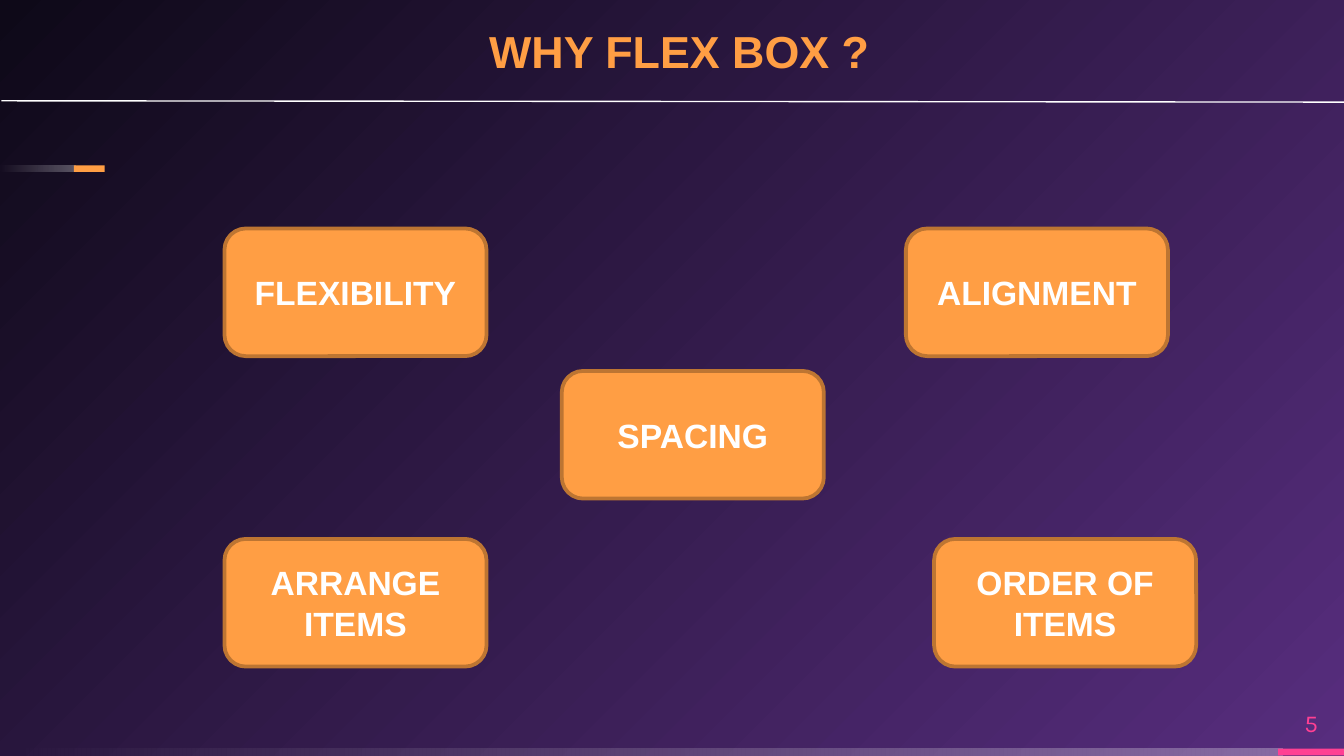
import pptx
import pptx.dml.color
import pptx.enum.shapes
import pptx.enum.text
import pptx.oxml
import pptx.oxml.ns
import pptx.util
from pptx.util import Inches

SHAPES = pptx.enum.shapes.MSO_SHAPE
ALIGN = pptx.enum.text.PP_ALIGN
ANCHOR = pptx.enum.text.MSO_ANCHOR
qn = pptx.oxml.ns.qn

ORANGE, BROWN, PINK, WHITE = "FF9E44", "BD7532", "FF4093", "FFFFFF"
BUTTON_WIDTH, BUTTON_HEIGHT = 1.95, 0.95
BUTTONS = [
    ("FLEXIBILITY", 1.67, 1.7),
    ("SPACING", 4.18, 2.76),
    ("ARRANGE ITEMS", 1.67, 4.01),
    ("ALIGNMENT", 6.74, 1.7),
    ("ORDER OF ITEMS", 6.95, 4.01),
]


def color(value):
    return pptx.dml.color.RGBColor.from_string(value)


def drawing_element(tag, attributes=""):
    namespace = pptx.oxml.ns.nsdecls("a")
    return pptx.oxml.parse_xml(f"<a:{tag} {namespace} {attributes}/>")


def paint_background(slide):
    """Radial gradient spreading from the bottom right corner."""
    fill = slide.background.fill
    fill.gradient()
    for stop, value in zip(fill.gradient_stops, ("572D7E", "0E0918")):
        stop.color.rgb = color(value)
    gradient = slide.element.find(".//" + qn("a:gradFill"))
    gradient.remove(gradient.find(qn("a:lin")))
    radial = drawing_element("path", 'path="circle"')
    radial.append(drawing_element("fillToRect", 'l="100000" t="100000"'))
    gradient.append(radial)


def add_block(slide, kind, left, top, width, height, fill=None):
    block = slide.shapes.add_shape(
        kind, Inches(left), Inches(top), Inches(width), Inches(height))
    block.shadow.inherit = False
    block.line.fill.background()
    if fill:
        block.fill.solid()
        block.fill.fore_color.rgb = color(fill)
    return block


def add_fading_bar(slide, left, top, width, height):
    """White bar that fades out towards the left."""
    bar = add_block(slide, SHAPES.RECTANGLE, left, top, width, height)
    bar.fill.gradient()
    bar.fill.gradient_angle = 180
    for stop in bar.fill.gradient_stops:
        stop.color.rgb = color(WHITE)
    stops = bar.element.spPr.iter(qn("a:srgbClr"))
    for stop_color, opacity in zip(stops, (30, 0)):
        stop_color.append(drawing_element("alpha", f'val="{opacity * 1000}"'))


def write_text(box, text, fill, font, frame_format, para_format):
    frame = box.text_frame
    frame.word_wrap = True
    for name, value in frame_format.items():
        setattr(frame, name, value)
    para = frame.paragraphs[0]
    for name, value in para_format.items():
        setattr(para, name, value)
    span = para.add_run()
    span.text = text
    for name, value in font.items():
        setattr(span.font, name, value)
    span.font.color.rgb = color(fill)


def no_margins(anchor):
    sides = ("left", "top", "right", "bottom")
    return {"vertical_anchor": anchor, **{f"margin_{side}": 0 for side in sides}}


def heading_font(size):
    return {"name": "Arial", "size": pptx.util.Pt(size), "bold": True}


def add_title(slide, text):
    title = slide.shapes.title
    place = {"left": 3.64, "top": 0.15, "width": 3.05, "height": 0.43}
    for name, value in place.items():
        setattr(title, name, Inches(value))
    write_text(title, text, ORANGE, heading_font(24), no_margins(ANCHOR.BOTTOM),
               {"alignment": ALIGN.LEFT, "line_spacing": 0.9})


def add_page_number(slide, text):
    box = slide.shapes.add_textbox(
        Inches(9.51), Inches(5.19), Inches(0.49), Inches(0.38))
    write_text(box, text, PINK, {"name": "Karla", "size": pptx.util.Pt(13)},
               no_margins(ANCHOR.MIDDLE), {"alignment": ALIGN.CENTER})


def add_button(slide, text, left, top):
    button = add_block(slide, SHAPES.ROUNDED_RECTANGLE, left, top,
                       BUTTON_WIDTH, BUTTON_HEIGHT, ORANGE)
    button.line.color.rgb = color(BROWN)
    button.line.width = pptx.util.Pt(2)
    write_text(button, text, WHITE, heading_font(18),
               {"vertical_anchor": ANCHOR.MIDDLE}, {"alignment": ALIGN.CENTER})


def add_rule(slide):
    rule = slide.shapes.add_connector(
        pptx.enum.shapes.MSO_CONNECTOR.STRAIGHT,
        Inches(0.01), Inches(0.75), Inches(10.14), Inches(0.76))
    rule.line.color.rgb = color(WHITE)
    rule.line.width = pptx.util.Pt(0.75)
    rule.element.spPr.append(drawing_element("effectLst"))


def main():
    deck = pptx.Presentation()
    deck.slide_width = Inches(10)
    deck.slide_height = deck.slide_width * 9 // 16
    slide = deck.slides.add_slide(deck.slide_layouts[5])
    paint_background(slide)
    add_fading_bar(slide, 0, 5.57, 9.54, 0.05)
    add_block(slide, SHAPES.RECTANGLE, 9.51, 5.57, 0.49, 0.05, PINK)
    add_fading_bar(slide, 0, 1.23, 0.56, 0.05)
    add_block(slide, SHAPES.RECTANGLE, 0.55, 1.23, 0.23, 0.05, ORANGE)
    add_title(slide, "WHY FLEX BOX ?")
    add_page_number(slide, "5")
    for text, left, top in BUTTONS:
        add_button(slide, text, left, top)
    add_rule(slide)
    deck.save("out.pptx")


if __name__ == "__main__":
    main()
